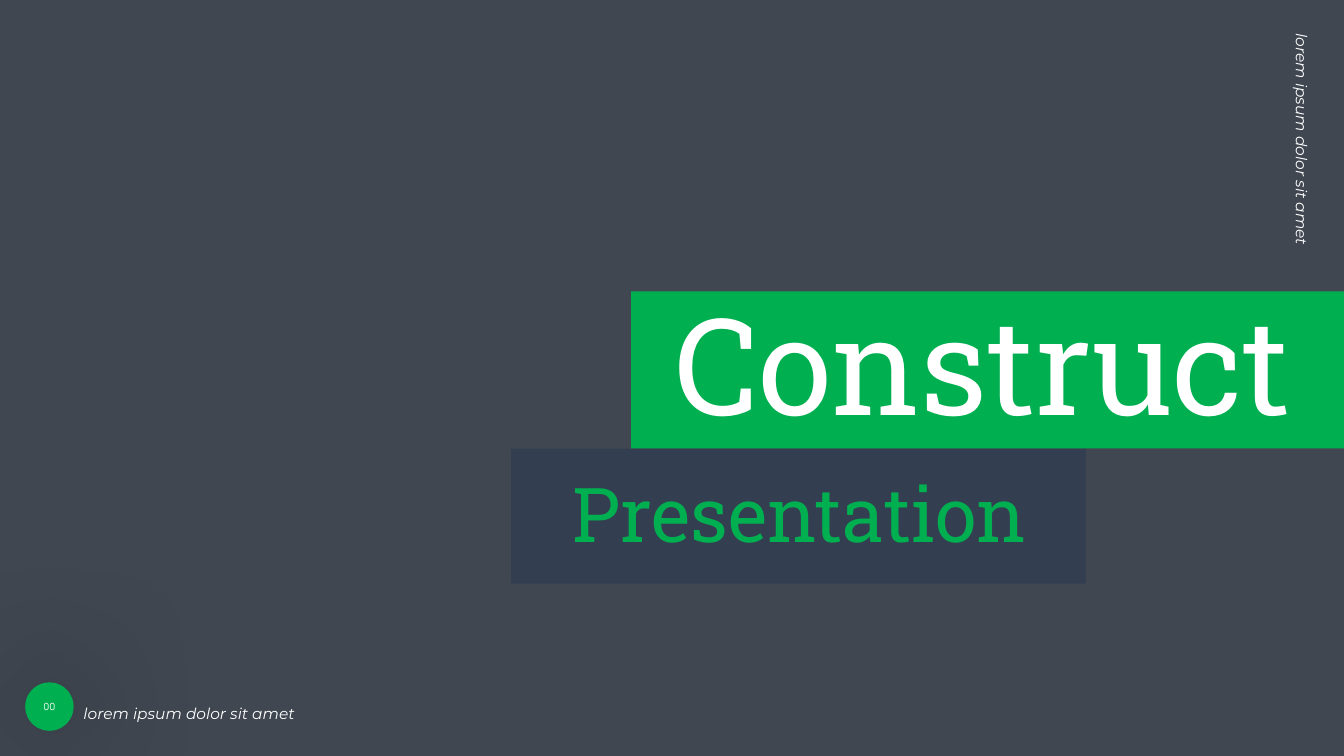
from dataclasses import dataclass

from lxml.etree import SubElement
from pptx import Presentation
from pptx.dml.color import RGBColor
from pptx.enum.shapes import MSO_SHAPE
from pptx.enum.text import MSO_ANCHOR, MSO_AUTO_SIZE, PP_ALIGN
from pptx.oxml.ns import qn
from pptx.util import Inches, Pt


@dataclass(frozen=True)
class Theme:
    paper: str = "F2F2F2"
    veil: str = "222A35"
    navy: str = "333F50"
    green: str = "00B050"
    white: str = "FFFFFF"
    shadow: str = "000000"
    heading_font: str = "Roboto Slab"
    body_font: str = "Montserrat"
    number_font: str = "Manrope"
    title_size: int = 96
    subtitle_size: int = 54
    tagline_size: int = 11
    number_size: int = 7


THEME = Theme()
TAGLINE = "lorem ipsum dolor sit amet"


def place(shape, box):
    shape.left, shape.top, shape.width, shape.height = (Inches(length) for length in box)


def add_block(page, kind, box, color):
    block = page.shapes.add_shape(kind, *(Inches(length) for length in box))
    block.shadow.inherit = False
    block.fill.solid()
    block.fill.fore_color.rgb = RGBColor.from_string(color)
    block.line.fill.background()
    return block


def write(shape, text, font, size, color, align=PP_ALIGN.CENTER, anchor=MSO_ANCHOR.MIDDLE):
    frame = shape.text_frame
    frame.word_wrap = True
    frame.auto_size = MSO_AUTO_SIZE.NONE
    frame.vertical_anchor = anchor
    para = frame.paragraphs[0]
    para.text = text
    para.alignment = align
    para.font.name = font
    para.font.size = Pt(size)
    para.font.color.rgb = RGBColor.from_string(color)
    return para


def add_text(page, box, *style, **layout):
    shape = page.shapes.add_textbox(*(Inches(length) for length in box))
    return shape, write(shape, *style, **layout)


def add_tagline(page, box):
    shape, para = add_text(page, box, TAGLINE, THEME.body_font, THEME.tagline_size,
                           THEME.white, align=PP_ALIGN.LEFT, anchor=MSO_ANCHOR.TOP)
    para.line_spacing = 1.5
    para.font.italic = True
    return shape


def add_glow(shape, blur, opacity):
    """Give the shape a soft shadow spreading evenly on all sides."""
    effects = shape.element.spPr.find(qn("a:effectLst"))
    glow = SubElement(effects, qn("a:outerShdw"), blurRad=str(Pt(blur)), dist="0",
                      dir="0", algn="ctr", rotWithShape="0")
    color = SubElement(glow, qn("a:srgbClr"), val=THEME.shadow)
    SubElement(color, qn("a:alpha"), val=str(opacity * 1000))


def add_backdrop(page, box):
    page.background.fill.solid()
    page.background.fill.fore_color.rgb = RGBColor.from_string(THEME.paper)
    veil = add_block(page, MSO_SHAPE.RECTANGLE, box, THEME.veil)
    color = veil.element.spPr.find(qn("a:solidFill")).find(qn("a:srgbClr"))
    SubElement(color, qn("a:alpha"), val="85000")


def add_footer(page, box):
    left, top, width, height = box
    badge = add_block(page, MSO_SHAPE.OVAL, (left, top, height, height), THEME.green)
    add_glow(badge, blur=94, opacity=72)
    frame = badge.text_frame
    frame.margin_left = frame.margin_right = 0
    write(badge, "00", THEME.number_font, THEME.number_size, THEME.white)
    add_tagline(page, (left + height, top + 0.07, width - height, 0.35))


def add_heading(page, box):
    """Stack the title band, flush right, above the subtitle band."""
    left, top, width, height = box
    band_height, indent = 1.56, 1.19
    subtitle_top = top + band_height
    subtitle_width, subtitle_height = 5.7, height - band_height
    add_block(page, MSO_SHAPE.RECTANGLE,
              (left, subtitle_top, subtitle_width, subtitle_height), THEME.navy)
    add_text(page, (left + 0.45, subtitle_top + 0.13, 4.82, 1.01), "Presentation",
             THEME.heading_font, THEME.subtitle_size, THEME.green)
    band = add_block(page, MSO_SHAPE.RECTANGLE,
                     (left + indent, top, width - indent, band_height), THEME.green)
    title = page.shapes.title
    place(title, (left + indent - 0.1, top - 0.16, width - indent + 0.1, band_height + 0.16))
    write(title, "Construct", THEME.heading_font, THEME.title_size, THEME.white)
    band.element.addnext(title.element)


def main():
    deck = Presentation()
    deck.slide_width, deck.slide_height = Inches(13.33), Inches(7.5)
    page = deck.slides.add_slide(deck.slide_layouts[5])
    add_backdrop(page, (0, 0, 13.33, 7.5))
    side_tagline = add_tagline(page, (11.37, 1.66, 3.2, 0.35))
    side_tagline.rotation = 90
    add_footer(page, (0.25, 6.77, 3.68, 0.48))
    add_heading(page, (5.07, 2.89, 8.26, 2.9))
    deck.save("out.pptx")


if __name__ == "__main__":
    main()
